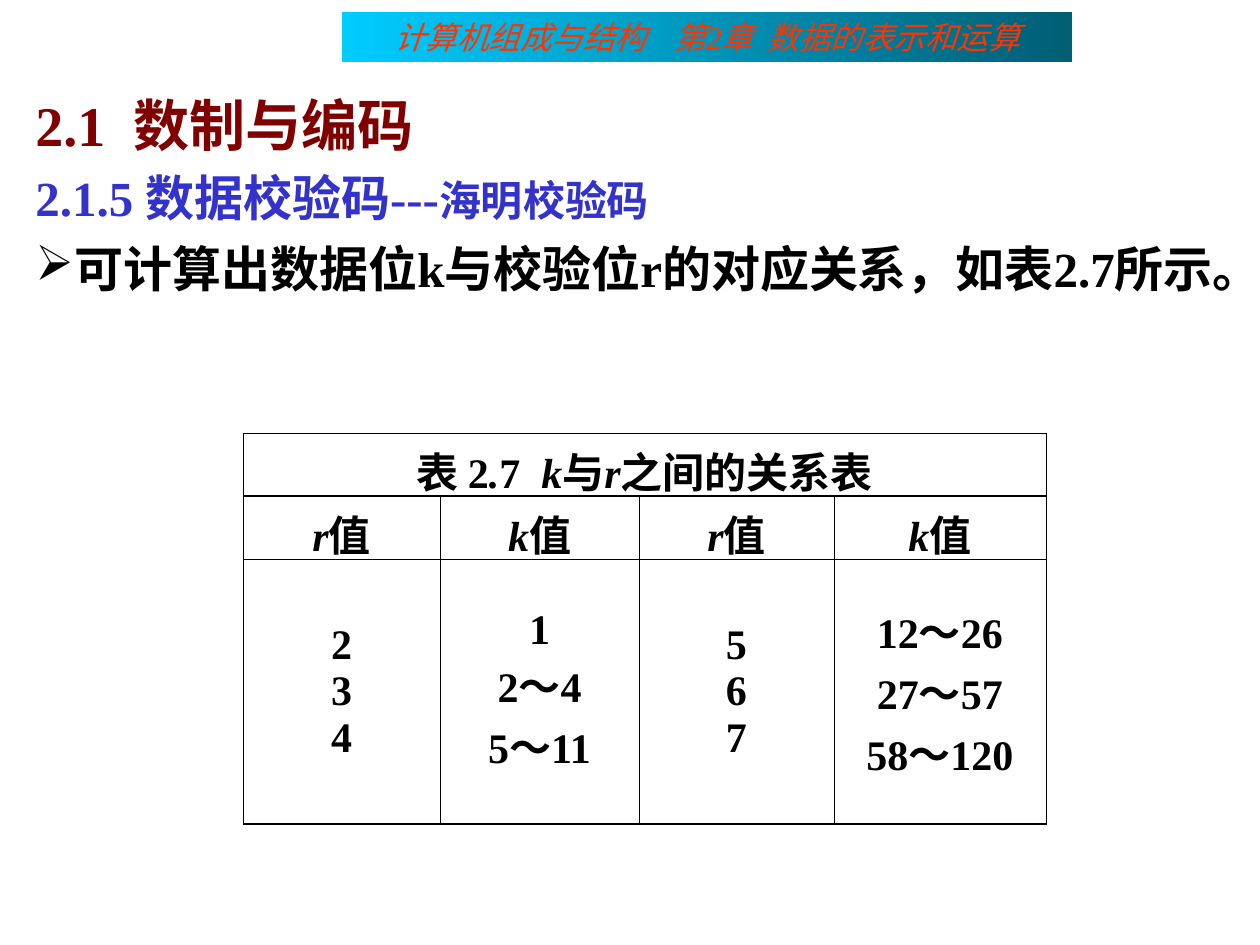
from lxml import etree
from pptx import Presentation
from pptx import util as u
from pptx.dml.color import RGBColor
from pptx.enum import shapes, text
from pptx.oxml.ns import qn

PX = 914400 / 126
SERIF, SANS = "Times New Roman", "Noto Sans CJK SC"
BLACK = RGBColor(0x00, 0x00, 0x00)
MAROON = RGBColor(0x80, 0x00, 0x00)
BLUE = RGBColor(0x33, 0x33, 0xCC)
ORANGE = RGBColor(0xFF, 0x33, 0x00)
TEAL = RGBColor(0x00, 0x5E, 0x75)
CYAN = RGBColor(0x00, 0xCC, 0xFF)

BANNER_BOX = (342, 12, 730, 50)
BODY_BOX = (23, 84, 1202, 250)
TABLE_BOX = (243, 433, 803, 391)
BANNER = [("计算机组成与结构    第2章  数据的表示和运算",
           dict(name=SERIF, size=18, italic=True, color=ORANGE))]
BODY = [
    (0, [("2.1  数制与编码", dict(name=SERIF, size=32, bold=True, color=MAROON))]),
    (6, [("2.1.5 数据校验码---", dict(name=SERIF, size=28, bold=True, color=BLUE)),
         ("海明校验码", dict(name=SANS, size=24, bold=True, color=BLUE))]),
    (7, [("可计算出数据位k与校验位r的对应关系，如表2.7所示。",
          dict(name=SERIF, size=28, bold=True, color=BLACK))]),
]

PLAIN = dict(name=SERIF, size=24, bold=True, italic=False, color=BLACK)
SLANTED = dict(PLAIN, italic=True)
CAPTION = [("表 2", PLAIN), (".", SLANTED), ("7  ", PLAIN), ("k", SLANTED),
           ("与", PLAIN), ("r", SLANTED), ("之间的关系表", PLAIN)]
COLUMNS = [
    (197, "r", ["2", "3", "4"]),
    (199, "k", ["1", "2～4", "5～11"]),
    (195, "r", ["5", "6", "7"]),
    (212, "k", ["12～26", "27～57", "58～120"]),
]
ROW_HEIGHTS = [63, 63, 265]
OUTER, INNER, RULE = 0.34, 0.45, 0.96


def px(value):
    return u.Emu(round(value * PX))


def place(box):
    return [px(value) for value in box]


def write(paragraph, runs, align=text.PP_ALIGN.CENTER):
    paragraph.alignment = align
    for words, style in runs:
        run = paragraph.add_run()
        run.text = words
        for key, value in style.items():
            if key == "color":
                run.font.color.rgb = value
            else:
                setattr(run.font, key, u.Pt(value) if key == "size" else value)


def next_paragraph(frame, index):
    return frame.add_paragraph() if index else frame.paragraphs[0]


def add_banner(slide):
    banner = slide.shapes.add_shape(shapes.MSO_SHAPE.RECTANGLE, *place(BANNER_BOX))
    banner.shadow.inherit = False
    banner.line.fill.background()
    banner.fill.gradient()
    banner.fill.gradient_angle = 180
    for stop, color in zip(banner.fill.gradient_stops, (TEAL, CYAN)):
        stop.color.rgb = color
    write(banner.text_frame.paragraphs[0], BANNER)


def add_body(slide):
    frame = slide.shapes.add_textbox(*place(BODY_BOX)).text_frame
    frame.word_wrap = True
    for index, (space, runs) in enumerate(BODY):
        paragraph = next_paragraph(frame, index)
        properties = paragraph._p.get_or_add_pPr()
        properties.set("marL", str(px(39)))
        properties.set("indent", str(-px(39)))
        paragraph.space_before = u.Pt(space)
        write(paragraph, runs, text.PP_ALIGN.LEFT)
    paragraph.alignment = text.PP_ALIGN.JUSTIFY
    color = etree.SubElement(properties, qn("a:buClr"))
    etree.SubElement(color, qn("a:srgbClr"), val=str(BLACK))
    etree.SubElement(properties, qn("a:buChar"), char="➢")


def set_borders(cell, widths):
    properties = cell._tc.get_or_add_tcPr()
    for index, (side, width) in enumerate(zip("LRTB", widths)):
        line = etree.Element(qn("a:ln" + side), w=str(u.Pt(width)))
        fill = etree.SubElement(line, qn("a:solidFill"))
        etree.SubElement(fill, qn("a:srgbClr"), val=str(BLACK))
        properties.insert(index, line)


def add_relation_table(slide):
    rows, columns = len(ROW_HEIGHTS), len(COLUMNS)
    table = slide.shapes.add_table(rows, columns, *place(TABLE_BOX)).table
    table.first_row = table.horz_banding = False
    for row, height in zip(table.rows, ROW_HEIGHTS):
        row.height = px(height)
    horizontal = [OUTER, RULE, INNER, RULE]
    vertical = [OUTER] + [INNER] * (columns - 1) + [OUTER]
    for c, (width, symbol, values) in enumerate(COLUMNS):
        table.columns[c].width = px(width)
        header = [(symbol, SLANTED), ("值", PLAIN)]
        contents = [[CAPTION] if c == 0 else [], [header],
                    [[(value, PLAIN)] for value in values]]
        for r, lines in enumerate(contents):
            cell = table.cell(r, c)
            cell.fill.background()
            cell.vertical_anchor = text.MSO_ANCHOR.MIDDLE
            set_borders(cell, vertical[c:c + 2] + horizontal[r:r + 2])
            for index, runs in enumerate(lines):
                write(next_paragraph(cell.text_frame, index), runs)
    table.cell(0, 0).merge(table.cell(0, columns - 1))


def main():
    presentation = Presentation()
    presentation.slide_width, presentation.slide_height = px(1260), px(945)
    slide = presentation.slides.add_slide(presentation.slide_layouts[6])
    add_banner(slide)
    add_body(slide)
    add_relation_table(slide)
    presentation.save("out.pptx")


if __name__ == "__main__":
    main()
